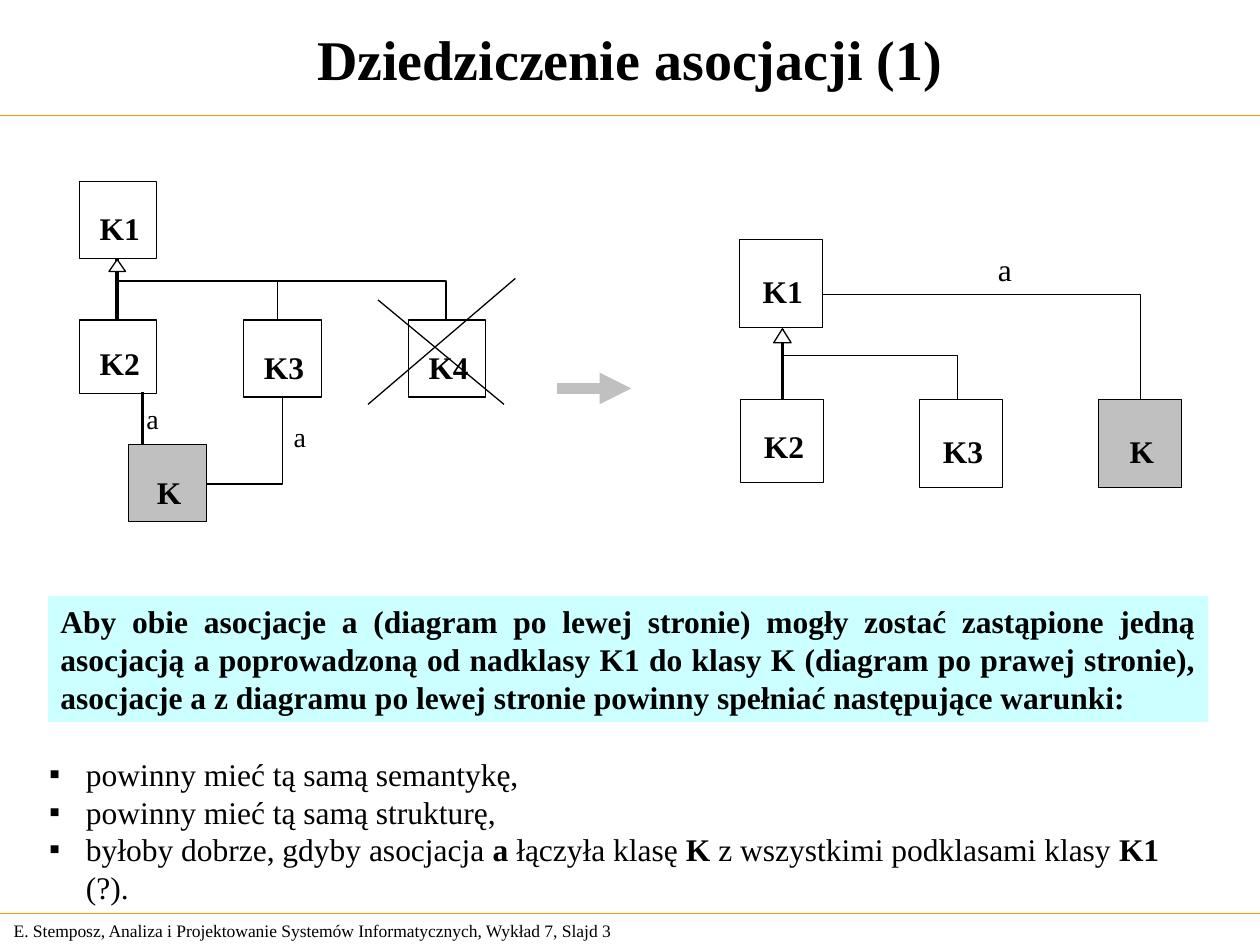
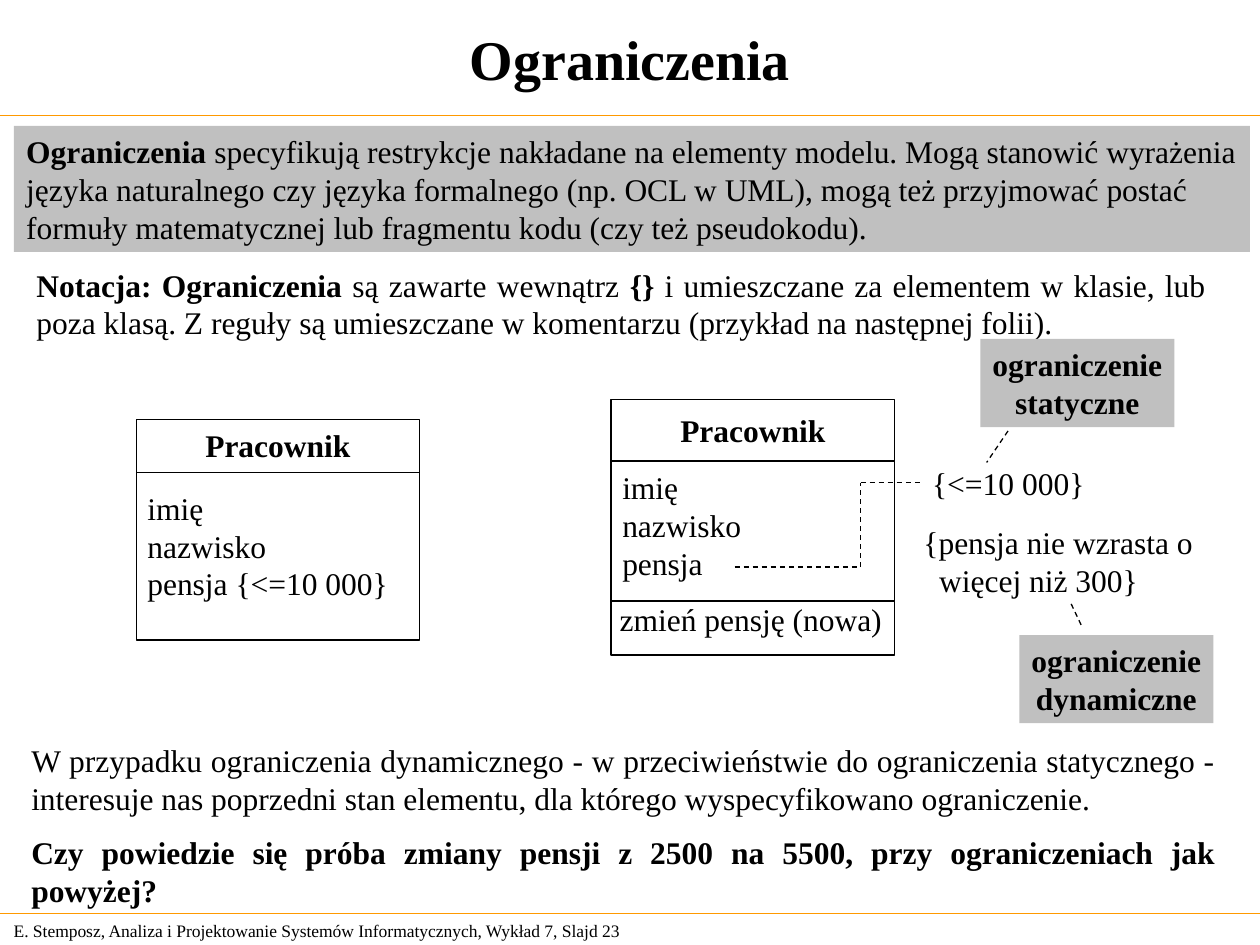
from dataclasses import dataclass
from typing import Any

from lxml.etree import SubElement
from pptx import Presentation
from pptx.dml.color import RGBColor
from pptx.enum.dml import MSO_LINE
from pptx.enum.shapes import MSO_CONNECTOR, MSO_SHAPE
from pptx.enum.text import MSO_ANCHOR as Anchor, MSO_AUTO_SIZE, PP_ALIGN as Align
from pptx.oxml.ns import qn
from pptx.util import Pt

FONT = "Times New Roman"
BLACK, WHITE, GREY, CYAN, ORANGE = "000000", "FFFFFF", "C0C0C0", "CCFFFF", "FF9900"
WIDTH, HEIGHT = 720, 540
HEADER_LINE, FOOTER_LINE = 66.2, 522
HAIRLINE, THIN = 0, 0.75
INSETS = (7.2, 3.6, 7.2, 3.6)
TITLE_ONLY, TITLE_AND_BODY = 5, 1


def color(hex_code):
    return RGBColor.from_string(hex_code)


def set_indent(paragraph, hang, bullet):
    """Hang the wrapped lines and put the bullet, if any, in the hanging space."""
    properties = paragraph._p.get_or_add_pPr()
    properties.set("marL", str(Pt(hang)))
    properties.set("indent", str(-Pt(hang)))
    if bullet:
        bullet_color = SubElement(properties, qn("a:buClr"))
        SubElement(bullet_color, qn("a:srgbClr"), val=BLACK)
        SubElement(properties, qn("a:buFont"), typeface=FONT)
        SubElement(properties, qn("a:buChar"), char=bullet)


def write(frame, text, size=18, bold=False, align=Align.LEFT, anchor=Anchor.TOP,
          insets=INSETS, wrap=True, gap=0, hang=0, bullet=None):
    """Fill a frame: each line is a paragraph, ** switches bold on and off."""
    frame.auto_size = MSO_AUTO_SIZE.NONE
    frame.word_wrap = wrap
    frame.vertical_anchor = anchor
    (frame.margin_left, frame.margin_top,
     frame.margin_right, frame.margin_bottom) = map(Pt, insets)
    for index, line in enumerate(text.split("\n")):
        paragraph = frame.add_paragraph() if index else frame.paragraphs[0]
        if hang:
            set_indent(paragraph, hang, bullet)
        paragraph.alignment = align
        paragraph.space_before = Pt(gap if index else 0)
        for part, words in enumerate(line.split("**")):
            if not words:
                continue
            run = paragraph.add_run()
            run.text = words
            run.font.name = FONT
            run.font.size = Pt(size)
            run.font.bold = bold or part % 2 == 1
            run.font.color.rgb = color(BLACK)


def place(shape, left, top, width, height):
    shape.left, shape.top, shape.width, shape.height = map(Pt, (left, top, width, height))


def style(shape, fill, line, weight):
    shape.shadow.inherit = False
    if fill:
        shape.fill.solid()
        shape.fill.fore_color.rgb = color(fill)
    else:
        shape.fill.background()
    if line:
        shape.line.color.rgb = color(line)
        shape.line.width = Pt(weight)
    else:
        shape.line.fill.background()


@dataclass
class Region:
    """Part of a slide; lengths are in points from its top left corner."""
    slide: Any
    left: float = 0
    top: float = 0

    def at(self, x, y):
        return Pt(self.left + x), Pt(self.top + y)

    def text(self, x, y, width, height, words, **text_format):
        box = self.slide.shapes.add_textbox(*self.at(x, y), Pt(width), Pt(height))
        write(box.text_frame, words, **text_format)

    def box(self, x, y, width, height, words="", fill=None, line=None,
            weight=HAIRLINE, **text_format):
        shape = self.slide.shapes.add_shape(
            MSO_SHAPE.RECTANGLE, *self.at(x, y), Pt(width), Pt(height))
        style(shape, fill, line, weight)
        if words:
            write(shape.text_frame, words, **text_format)

    def line(self, start, end, stroke=BLACK, weight=THIN, dashed=False, arrow=False):
        connector = self.slide.shapes.add_connector(
            MSO_CONNECTOR.STRAIGHT, *self.at(*start), *self.at(*end))
        connector.line.color.rgb = color(stroke)
        connector.line.width = Pt(weight)
        if dashed:
            connector.line.dash_style = MSO_LINE.DASH
        properties = connector._element.spPr
        if arrow:
            SubElement(properties.find(qn("a:ln")), qn("a:tailEnd"), type="triangle")
        SubElement(properties, qn("a:effectLst"))

    def path_through(self, *points, fill=None, weight=HAIRLINE, close=False):
        first, *others = [self.at(*point) for point in points]
        builder = self.slide.shapes.build_freeform(*first, scale=1.0)
        builder.add_line_segments(others, close=close)
        style(builder.convert_to_shape(), fill, BLACK, weight)


def add_slide(deck, layout, title, number):
    slide = deck.slides.add_slide(deck.slide_layouts[layout])
    page = Region(slide)
    place(slide.shapes.title, 0, 0, WIDTH, HEADER_LINE)
    write(slide.shapes.title.text_frame, title, size=32, bold=True,
          align=Align.CENTER, anchor=Anchor.MIDDLE)
    for y in (HEADER_LINE, FOOTER_LINE):
        page.line((0, y), (WIDTH, y), stroke=ORANGE)
    page.text(0.7, FOOTER_LINE, 400, 19.4,
              "E. Stemposz, Analiza i Projektowanie Systemów Informatycznych, "
              f"Wykład 7, Slajd {number}", size=10, anchor=Anchor.MIDDLE)
    return page


def uml_classes(region, classes, lift):
    """Draw named class boxes whose names stand `lift` points above the bottom."""
    for name, x, y, width, height, fill in classes:
        region.box(x, y, width, height, name, fill=fill, line=BLACK, bold=True,
                   align=Align.CENTER, anchor=Anchor.BOTTOM, wrap=False,
                   insets=(2, 0, 0, lift))


def generalization(region, apex, rail, children_top, children, head):
    """Join subclasses to the superclass; the first child is right below the apex."""
    x, y = apex
    half_width, height = head
    region.line(apex, (x, children_top), weight=HAIRLINE)
    for child in children:
        region.path_through((child, children_top), (child, rail), (x, rail), apex)
    region.path_through(apex, (x + half_width, y + height), (x - half_width, y + height),
                        fill=WHITE, close=True)


def subclass_associations(region):
    row = 79.2
    uml_classes(region, [
        ("K1", 0, 0, 44, 44, WHITE),
        ("K2", 0, row, 44, 42, WHITE),
        ("K3", 93.6, row, 44.6, 44, WHITE),
        ("K4", 188, row, 44, 44, None),
        ("K", 28, 150.5, 44.6, 44, GREY),
    ], lift=6.5)
    generalization(region, (21.6, 44.6), 56.9, row, (113, 209.5), head=(4.7, 6.8))
    region.line((36, 150.5), (36, 120.3), weight=HAIRLINE)
    region.path_through((72.6, 172.8), (115.9, 172.8), (115.9, 123.2), weight=THIN)
    for x, y in ((38.2, 126), (122.4, 136)):
        region.text(x, y, 10, 19.4, "a", size=16, insets=(0, 0, 0, 0), wrap=False)
    region.line((170.6, 67.7), (242.6, 127.4))
    region.line((164.9, 127.4), (249.1, 55.4))


def superclass_association(region):
    side, row, tall = 47.5, 91.4, 50.4
    uml_classes(region, [
        ("K1", 0, 0, side, tall, WHITE),
        ("K2", 0.7, row, side, side, WHITE),
        ("K3", 103, row, side, tall, WHITE),
        ("K", 205.2, row, side, tall, GREY),
    ], lift=10)
    region.path_through((229, row), (229, 31.7), (side, 31.7))
    region.text(147.6, 5.8, 10, 21.6, "a", insets=(0, 0, 0, 0), wrap=False)
    generalization(region, (24.5, 51.1), 66.2, row, (124.6,), head=(5, 8))


def inheritance_slide(deck):
    page = add_slide(deck, TITLE_AND_BODY, "Dziedziczenie asocjacji (1)", 3)
    subclass_associations(Region(page.slide, 45.4, 103.7))
    superclass_association(Region(page.slide, 422.6, 136.8))
    page.line((318.2, 222), (360.7, 222), stroke=GREY, weight=6, arrow=True)
    page.box(27.4, 340.6, 663, 72,
             "Aby obie asocjacje a (diagram po lewej stronie) mogły zostać zastąpione "
             "jedną asocjacją a poprowadzoną od nadklasy K1 do klasy K (diagram po prawej "
             "stronie), asocjacje a z diagramu po lewej stronie powinny spełniać "
             "następujące warunki:", fill=CYAN, bold=True, align=Align.JUSTIFY)
    conditions = page.slide.placeholders[1]
    place(conditions, 20.9, 427.7, 662, 94)
    write(conditions.text_frame,
          "powinny mieć tą samą semantykę,\n"
          "powinny mieć tą samą strukturę,\n"
          "byłoby dobrze, gdyby asocjacja **a** łączyła klasę **K** z wszystkimi "
          "podklasami klasy **K1** (?).", hang=21, bullet="▪")


def uml_class(region, height, name_top, attributes_top, attributes, operation=None):
    """Draw a Pracownik class with attributes and, if given, one operation."""
    width, operation_top = 162, 115.2
    region.box(0, 0, width, height, line=BLACK, weight=THIN)
    region.text(0, name_top, width, 29, "Pracownik", bold=True, align=Align.CENTER)
    region.text(-0.7, 36, width, 72, attributes)
    region.line((0, attributes_top), (width, attributes_top))
    if operation:
        region.text(-2.2, operation_top - 4.3, 170, 29, operation, wrap=False)
        region.line((0, operation_top), (width, operation_top))


def constraint_notes(region):
    """Draw the constraints beside the class and the labels of their kinds."""
    region.text(5, 67.7, 105, 29, "{<=10 000}")
    region.text(0, 101.5, 172, 50.4, "{pensja nie wzrasta o więcej niż 300}", hang=9)
    for x, y, kind in ((39.6, 0, "statyczne"), (61.9, 169.2, "dynamiczne")):
        region.box(x, y, 110.9, 50.4, f"ograniczenie\n{kind}", fill=GREY, bold=True,
                   align=Align.CENTER, wrap=False)
    dashes = [
        ((97.2, 163.4), (91.4, 151.2)),
        ((55.4, 52.6), (43.2, 70.6)),
        ((-100.8, 130.3), (-28.8, 130.3)),
        ((-28.8, 130.3), (-28.8, 82.1)),
        ((-28.8, 82.1), (7.2, 82.1)),
    ]
    for start, end in dashes:
        region.line(start, end, dashed=True)


def constraints_slide(deck):
    page = add_slide(deck, TITLE_ONLY, "Ograniczenia", 23)
    page.box(7.9, 72, 706.3, 72,
             "**Ograniczenia** specyfikują restrykcje nakładane na elementy modelu. "
             "Mogą stanowić wyrażenia\n"
             "języka naturalnego czy języka formalnego (np. OCL w UML), mogą też "
             "przyjmować postać\n"
             "formuły matematycznej lub fragmentu kodu (czy też pseudokodu).",
             fill=GREY, wrap=False)
    page.text(13.7, 148.3, 682.6, 50.4,
              "**Notacja: Ograniczenia** są zawarte wewnątrz **{}** i umieszczane za "
              "elementem w klasie, lub poza klasą. Z reguły są umieszczane w komentarzu "
              "(przykład na następnej folii).", align=Align.JUSTIFY)
    uml_class(Region(page.slide, 77.8, 239.8), 126, 0, 30.2,
              "imię\nnazwisko\npensja {<=10 000}")
    uml_class(Region(page.slide, 349.2, 228.2), 146.2, 2.9, 35.3,
              "imię\nnazwisko\npensja", operation="zmień pensję (nowa)")
    constraint_notes(Region(page.slide, 520.6, 193.7))
    page.text(10.8, 419.8, 691.2, 103.7,
              "W przypadku ograniczenia dynamicznego - w przeciwieństwie do ograniczenia "
              "statycznego - interesuje nas poprzedni stan elementu, dla którego "
              "wyspecyfikowano ograniczenie.\n"
              "**Czy powiedzie się próba zmiany pensji z 2500 na 5500, przy "
              "ograniczeniach jak powyżej?**", align=Align.JUSTIFY, gap=9.5)


def main():
    deck = Presentation()
    deck.slide_width, deck.slide_height = Pt(WIDTH), Pt(HEIGHT)
    inheritance_slide(deck)
    constraints_slide(deck)
    deck.save("out.pptx")


if __name__ == "__main__":
    main()
